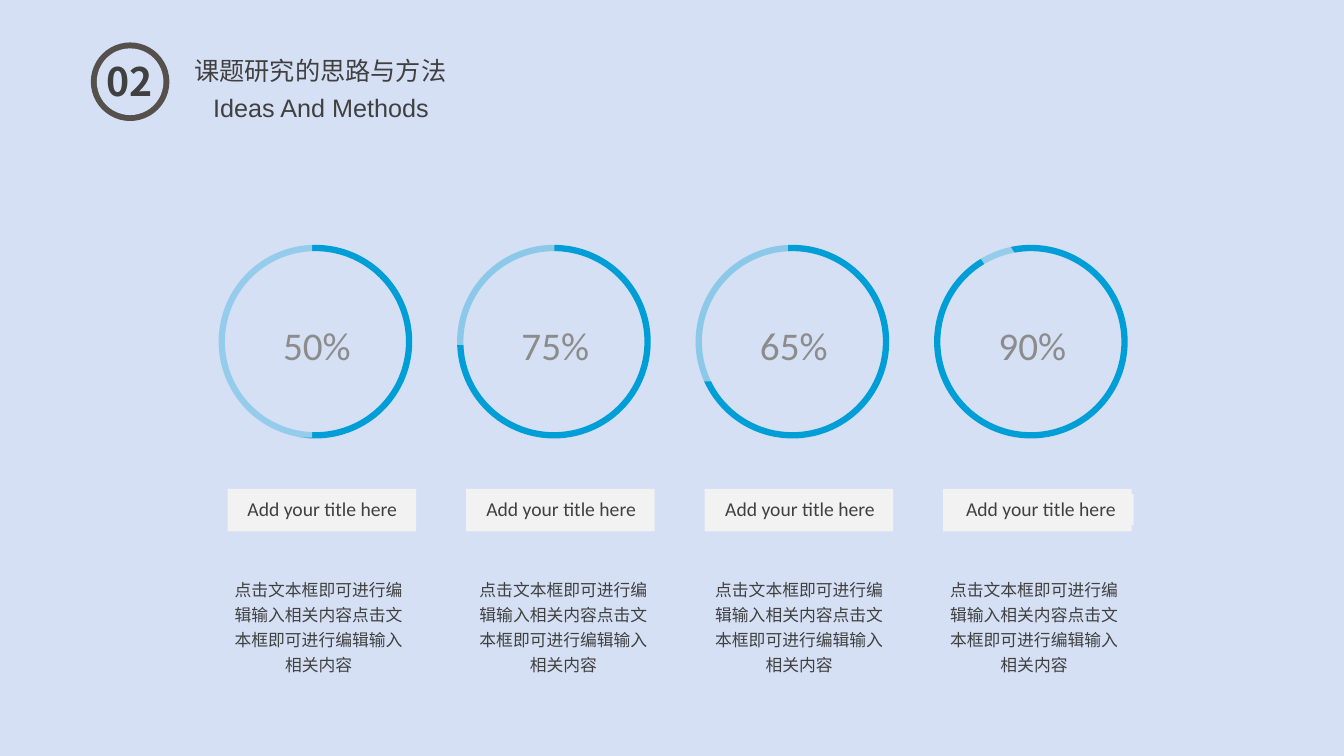
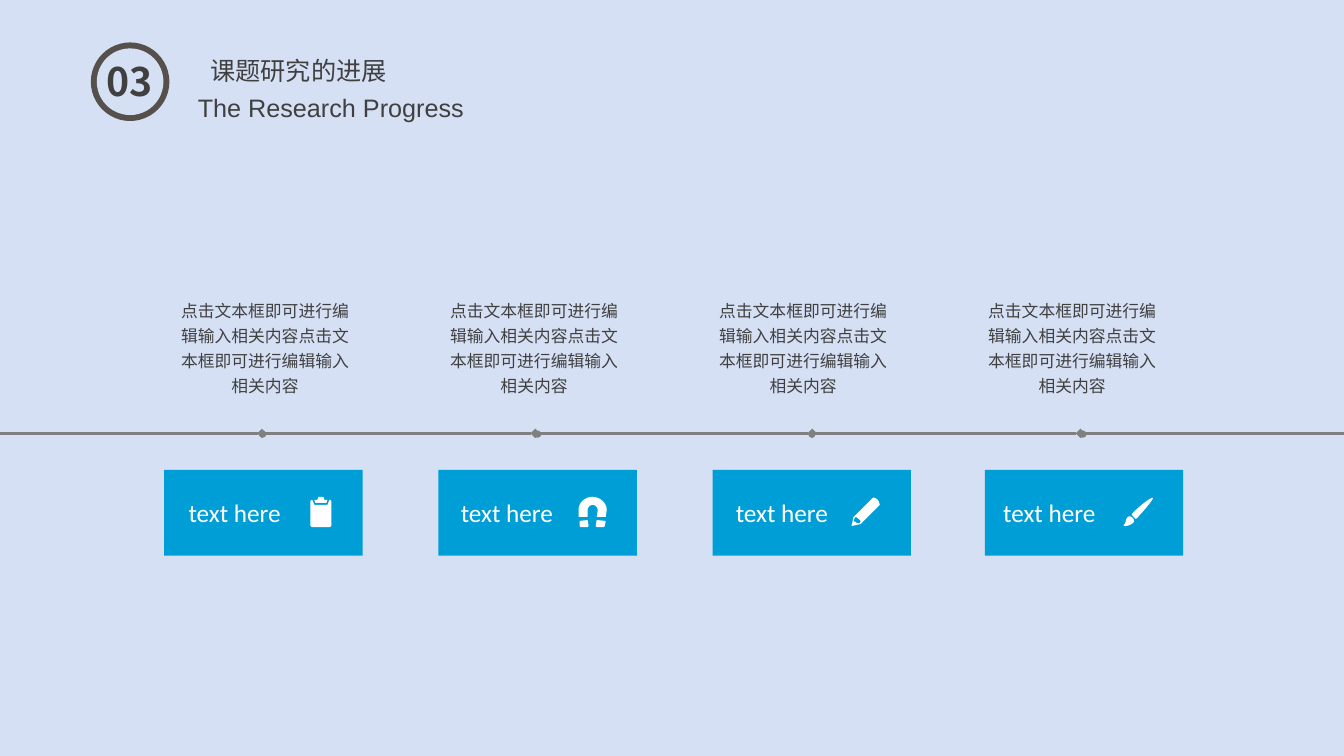
from lxml.etree import SubElement as Sub
from pptx import Presentation
from pptx.dml.color import RGBColor as Rgb
from pptx.enum.shapes import MSO_CONNECTOR as Conn, MSO_SHAPE as Kind
from pptx.enum.text import MSO_ANCHOR as Anchor, MSO_AUTO_SIZE as Auto, PP_ALIGN as Align
from pptx.oxml.ns import qn
from pptx.util import Cm, Pt

# Shared style
BACK, DARK, INK, BLUE = "D5E0F4", "56504C", "404040", "009ED6"
PALE, GREY, MID, WHITE = "F2F2F2", "8C8C8C", "808080", "FFFFFF"
HAN, SANS, BODY = "Noto Sans CJK SC", "Arial", "Calibri"
NOTE = "点击文本框即可进行编辑输入相关内容点击文本框即可进行编辑输入相关内容"

# Heads: number, title, title left, title width, subtitle, subtitle left
HEADS = [
    ("02", "课题研究的思路与方法", 4.65, 6.93, "Ideas And Methods", 1.12),
    ("03", "课题研究的进展", 5.05, 5, "The Research Progress", 1.37),
]

# Rings: share, label left, note left, veil (left, top, width, height, turn, opacity)
LABEL = "Add your title here"
RINGS = [
    ("50%", 5.79, 5.59, (5.13, 6.05, 2.74, 4.98, 0, 70)),
    ("75%", 11.81, 11.76, (11.1, 6.05, 2.87, 2.64, 0, 66)),
    ("65%", 17.83, 17.7, (17.22, 6.05, 2.64, 3.56, 0, 66)),
    ("90%", 23.9, 23.62, (23.37, 5.21, 2.41, 0.79, 56, 70)),
]

# Icons: loops of points; six numbers make a curve
CLIP = [
    [(19, 3), (17, 8), (4, 8), (2, 3), (1, 3, 0, 4, 0, 5), (0, 28),
     (0, 29, 1, 30, 2, 30), (19, 30), (20, 30, 21, 29, 21, 28), (21, 5),
     (21, 4, 20, 3, 19, 3)],
    [(16, 6), (17, 3), (14, 3), (13, 0), (8, 0), (7, 3), (4, 3), (5, 6)],
]
MAGNET = [
    [(0, 14), (0, 20), (9, 20), (9, 13), (9, 11, 11, 8, 14, 8),
     (17, 8, 19, 11, 19, 13), (19, 14), (18, 20), (27, 20), (28, 13),
     (28, 6, 21, 0, 14, 0), (6, 0, 0, 6, 0, 13)],
    [(1, 24), (1, 29), (2, 30), (9, 30), (10, 29), (9, 23)],
    [(17, 29), (18, 30), (25, 30), (26, 29), (27, 24), (18, 23)],
]
PENCIL = [
    [(8, 26), (5, 26), (4, 25), (2, 24), (3, 21), (4, 20),
     (4, 20, 5, 20, 7, 22), (9, 23, 9, 25, 9, 25)],
    [(26, 3), (23, 0, 21, 1, 21, 1), (12, 10), (2, 20), (0, 29), (9, 27),
     (19, 17), (28, 8), (28, 8, 28, 6, 26, 3)],
]
BRUSH = [
    [(29, 1), (27, 0, 15, 10, 11, 14), (9, 16, 8, 17, 8, 18), (10, 20),
     (12, 22), (13, 21, 14, 21, 15, 19), (19, 15, 30, 2, 29, 1)],
    [(4, 20), (1, 23, 3, 25, 0, 28), (-1, 30, 6, 29, 9, 26),
     (11, 25, 10, 22, 9, 21), (7, 19, 5, 19, 4, 20)],
]

# Steps: card left, text left, icon, icon left, dot left
STEPS = [
    (4.14, 4.24, CLIP, 7.82, 6.53),
    (11.05, 11.1, MAGNET, 14.58, 13.46),
    (17.96, 18.03, PENCIL, 21.46, 20.37),
    (24.82, 24.77, BRUSH, 28.32, 27.2),
]
STOPS = [0, 6.6, 13.49, 20.47, 27.23, 33.87]

deck = Presentation()
deck.slide_width, deck.slide_height = Cm(33.87), Cm(19.05)


# Helpers
def tint(part, hue):
    part.solid()
    part.fore_color.rgb = Rgb.from_string(hue)


def shape(page, kind, box, hue=None, line=None):
    item = page.shapes.add_shape(kind, *map(Cm, box))
    item.shadow.inherit = False
    if hue:
        tint(item.fill, hue)
    else:
        item.fill.background()
    if line:
        tint(item.line.fill, line)
        item.line.width = Pt(4.5)
    else:
        item.line.fill.background()
    return item


def write(item, text, size, font, hue, bold=False, align=Align.CENTER,
          space=None, before=None, mid=False, wrap=True, grow=False):
    frame = item.text_frame
    frame.word_wrap = wrap
    frame.auto_size = Auto.SHAPE_TO_FIT_TEXT if grow else Auto.NONE
    frame.vertical_anchor = Anchor.MIDDLE if mid else Anchor.TOP
    para = frame.paragraphs[0]
    para.alignment, para.line_spacing = align, space
    if before:
        para.space_before = Pt(before)
    run = para.add_run()
    run.text = text
    run.font.size, run.font.name, run.font.bold = Pt(size), font, bold
    tint(run.font.fill, hue)
    Sub(run.font._element, qn("a:ea"), typeface=font)


def label(page, box, *args, **opts):
    write(page.shapes.add_textbox(*map(Cm, box)), *args, **opts)


def note(page, left, top):
    label(page, (left, top, 4.88, 2.82), NOTE, 12, HAN, INK, space=1.25, grow=True)


def trace(loop, left, top):
    spots = []
    for step in loop:
        if len(step) == 2:
            spots.append(step)
            continue
        (ax, ay), (bx, by, cx, cy, dx, dy) = spots[-1], step
        for i in range(1, 9):
            t = i / 8
            u = 1 - t
            a, b, c, d = u ** 3, 3 * u * u * t, 3 * u * t * t, t ** 3
            spots.append((a * ax + b * bx + c * cx + d * dx,
                          a * ay + b * by + c * cy + d * dy))
    unit = Cm(0.0254)
    return [(Cm(left) + x * unit, Cm(top) + y * unit) for x, y in spots]


def icon(page, loops, left, top):
    pen = None
    for loop in loops:
        first, *rest = trace(loop, left, top)
        if pen:
            pen.move_to(*first)
        else:
            pen = page.shapes.build_freeform(*first)
        pen.add_line_segments(rest, close=True)
    item = pen.convert_to_shape()
    item.shadow.inherit = False
    tint(item.fill, WHITE)
    item.line.fill.background()


def start(num, title, left, wide, sub, side):
    page = deck.slides.add_slide(deck.slide_layouts[6])
    tint(page.background.fill, BACK)
    shape(page, Kind.OVAL, (2.29, 1.07, 1.98, 1.98), DARK)
    shape(page, Kind.OVAL, (2.44, 1.22, 1.68, 1.68), BACK)
    label(page, (2.36, 1.32, 1.83, 1.45), num, 28, HAN, INK, bold=True, grow=True)
    label(page, (left, 0.51, wide, 1.8), title, 18, HAN, INK,
          align=Align.LEFT, space=2, wrap=False, grow=True)
    label(page, (side, 2.21, 13.94, 1.02), sub, 18, SANS, INK, grow=True)
    return page


# Slide 1: rings
page = start(*HEADS[0])
for i, (share, left, side, veil) in enumerate(RINGS):
    move = 6.01 * i
    shape(page, Kind.OVAL, (5.59 + move, 6.25, 4.72, 4.72), line=BLUE)
    *box, turn, solid = veil
    cover = shape(page, Kind.RECTANGLE, box, BACK)
    cover.rotation = turn
    tone = cover.fill._xPr.find(qn("a:solidFill"))[0]
    Sub(tone, qn("a:alpha"), val=str(solid * 1000))
    label(page, (6.27 + move, 7.57, 3.43, 2.24), share, 28, BODY, GREY, mid=True)
    shape(page, Kind.RECTANGLE, (5.74 + move, 12.32, 4.75, 1.07), PALE)
    plate = shape(page, Kind.RECTANGLE, (left, 12.45, 4.67, 0.79), PALE)
    write(plate, LABEL, 14, BODY, INK, space=0.9, before=10, mid=True)
    note(page, side, 14.35)

# Slide 2: timeline
page = start(*HEADS[1])
for a, b in zip(STOPS, STOPS[1:]):
    line = page.shapes.add_connector(Conn.STRAIGHT, Cm(a), Cm(10.92), Cm(b), Cm(10.92))
    tint(line.line.fill, MID)
    line.line.width = Pt(2.25)
    if b < STOPS[-1]:
        Sub(line.line._get_or_add_ln(), qn("a:tailEnd"), type="diamond")
    Sub(line._element.spPr, qn("a:effectLst"))
for i, (left, side, loops, spot, dot) in enumerate(STEPS):
    shape(page, Kind.RECTANGLE, (left, 11.84, 5, 2.16), BLUE)
    icon(page, loops, spot, 12.52)
    shape(page, Kind.OVAL, (dot, 10.85, 0.18, 0.18), MID)
    label(page, (side, 12.4, 3.35, 1.02), "text here", 18, BODY, WHITE, grow=True)
    note(page, 4.24 + 6.78 * i, 7.32)

deck.save("out.pptx")
